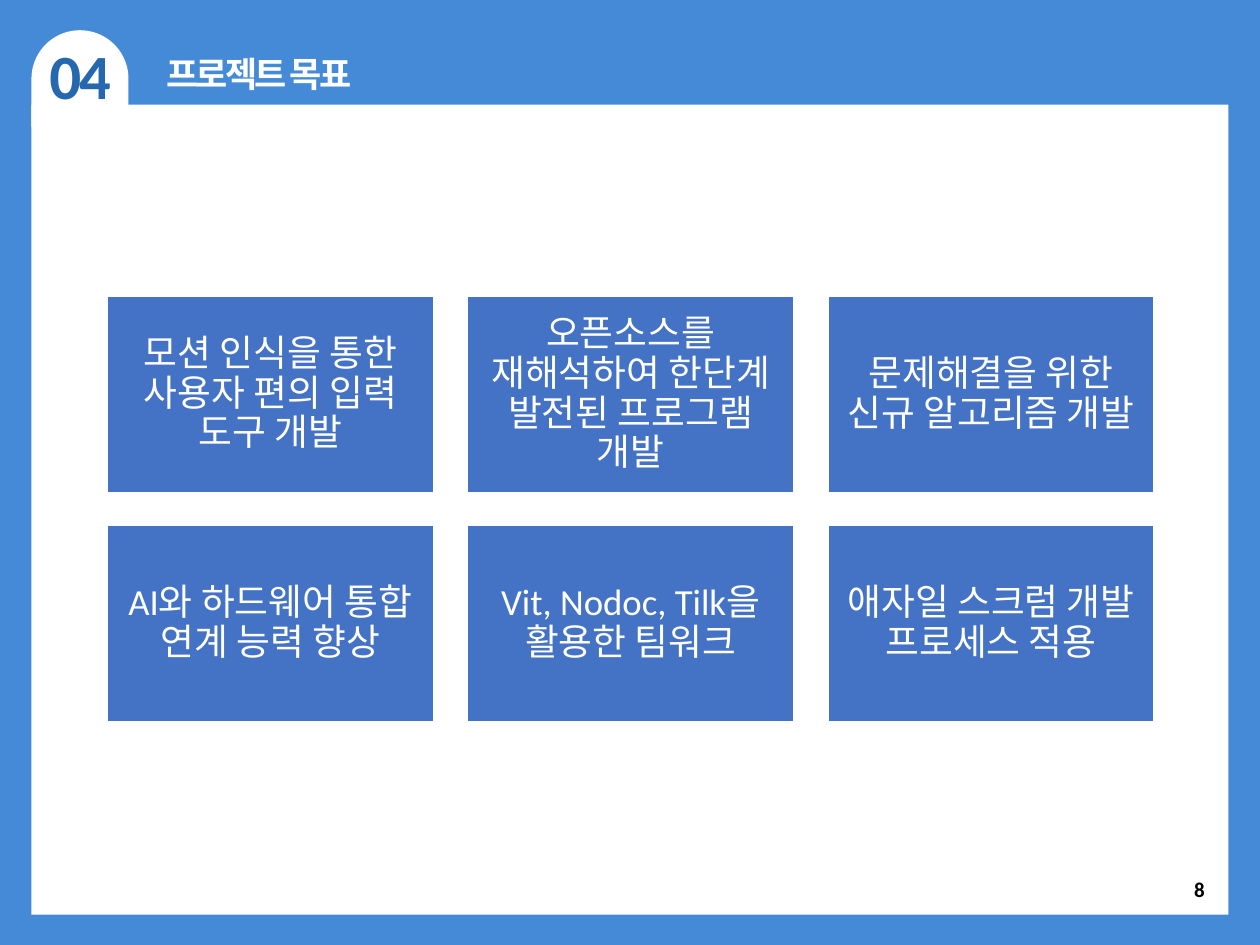
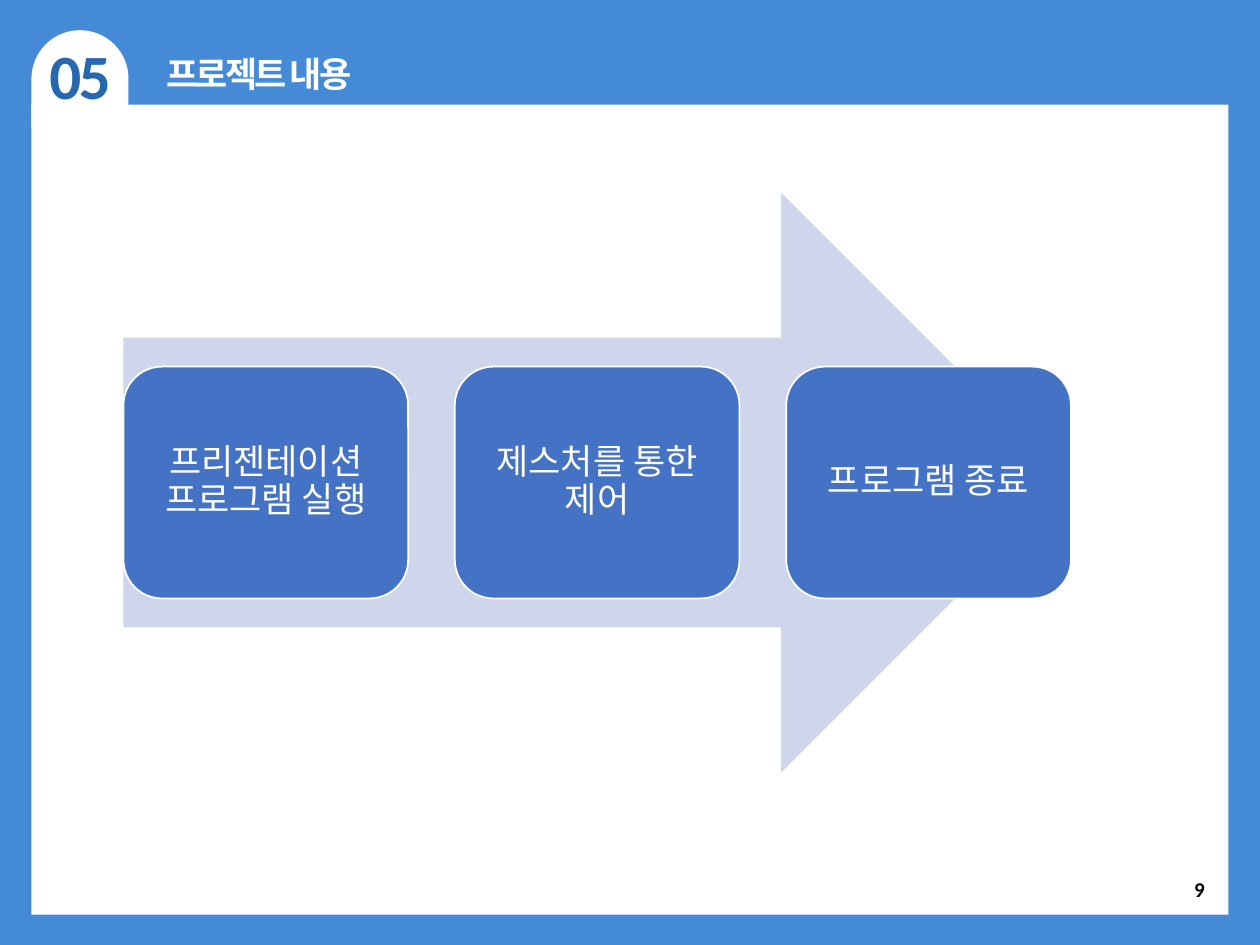
from dataclasses import dataclass
from typing import NamedTuple, Optional

from pptx import Presentation
from pptx.dml.color import RGBColor
from pptx.enum import shapes, text
from pptx.util import Inches, Pt

KIND = shapes.MSO_SHAPE
ALIGN = text.PP_ALIGN
ANCHOR = text.MSO_ANCHOR


@dataclass(frozen=True)
class Theme:
    frame: str = "448AD7"
    paper: str = "FFFFFF"
    badge: str = "2668B0"
    card: str = "4472C4"
    arrow: str = "CFD5EA"
    ink: str = "000000"
    body: str = "Calibri"
    head: str = "Arial"
    num_size: float = 36
    head_size: float = 20
    goal_size: float = 21
    step_size: float = 20
    page_size: float = 12
    tight: float = -1.5


class Box(NamedTuple):
    left: float
    top: float
    width: float
    height: float


class Style(NamedTuple):
    size: float
    color: str
    font: str
    bold: bool = False
    align: ALIGN = ALIGN.CENTER
    track: float = 0
    lead: Optional[float] = None


class Grid(NamedTuple):
    """First cell, column and row pitch, and the number of columns."""
    cell: Box
    across: float
    down: float
    cols: int

    def at(self, index: int) -> Box:
        row, col = divmod(index, self.cols)
        return self.cell._replace(left=self.cell.left + col * self.across,
                                  top=self.cell.top + row * self.down)


THEME = Theme()
NUM = Style(THEME.num_size, THEME.badge, THEME.body, True, track=THEME.tight)
HEAD = Style(THEME.head_size, THEME.paper, THEME.head, True, track=THEME.tight)
PAGE = Style(THEME.page_size, THEME.ink, THEME.body, True, ALIGN.RIGHT)
GOAL = Style(THEME.goal_size, THEME.paper, THEME.body, lead=0.9)
STEP = Style(THEME.step_size, THEME.paper, THEME.body, lead=0.9)

GOALS = (
    "모션 인식을 통한 사용자 편의 입력 도구 개발",
    "오픈소스를 재해석하여 한단계 발전된 프로그램 개발",
    "문제해결을 위한 신규 알고리즘 개발",
    "AI와 하드웨어 통합 연계 능력 향상",
    "Vit, Nodoc, Tilk을 활용한 팀워크",
    "애자일 스크럼 개발 프로세스 적용",
)
STEPS = ("프리젠테이션 프로그램 실행", "제스처를 통한 제어", "프로그램 종료")
GOAL_GRID = Grid(Box(0.85, 2.35, 2.59, 1.56), 2.86, 1.82, 3)
STEP_GRID = Grid(Box(0.98, 2.91, 2.26, 1.84), 2.63, 0, 3)


def place(box: Box) -> list:
    return [Inches(side) for side in box]


def write(shape, words: str, style: Style) -> None:
    para = shape.text_frame.paragraphs[0]
    run = para.add_run()
    run.text = words
    para.alignment = style.align
    if style.lead:
        para.line_spacing = style.lead
    font = para.font
    font.name, font.size, font.bold = style.font, Pt(style.size), style.bold
    font.color.rgb = RGBColor.from_string(style.color)
    if style.track:
        run._r.get_or_add_rPr().set("spc", str(int(style.track * 100)))


def draw(slide, kind: KIND, box: Box, fill: str, line: str = ""):
    shape = slide.shapes.add_shape(kind, *place(box))
    shape.shadow.inherit = False
    shape.fill.solid()
    shape.fill.fore_color.rgb = RGBColor.from_string(fill)
    if line:
        shape.line.color.rgb = RGBColor.from_string(line)
        shape.line.width = Pt(1)
    else:
        shape.line.fill.background()
    return shape


def label(slide, box: Box, words: str, style: Style,
          anchor: ANCHOR = ANCHOR.TOP) -> None:
    shape = slide.shapes.add_textbox(*place(box))
    shape.text_frame.word_wrap = True
    shape.text_frame.vertical_anchor = anchor
    write(shape, words, style)


def cards(slide, kind: KIND, grid: Grid, items: tuple, style: Style,
          pad: float) -> None:
    for index, words in enumerate(items):
        card = draw(slide, kind, grid.at(index), THEME.card, THEME.paper)
        frame = card.text_frame
        frame.word_wrap = True
        frame.vertical_anchor = ANCHOR.MIDDLE
        frame.margin_left = frame.margin_right = Inches(pad)
        frame.margin_top = frame.margin_bottom = Inches(pad)
        write(card, words, style)


def start(deck, num: str, title: str, page: int):
    """Add a slide with the frame, numbered tab, title and page number."""
    slide = deck.slides.add_slide(deck.slide_layouts[6])
    draw(slide, KIND.RECTANGLE, Box(0, 0, 10, 7.5), THEME.frame)
    tab = draw(slide, KIND.FLOWCHART_DELAY, Box(0.25, 0.24, 0.77, 0.77),
               THEME.paper)
    tab.rotation = 270
    draw(slide, KIND.RECTANGLE, Box(0.25, 0.83, 9.5, 6.43), THEME.paper)
    label(slide, Box(7.41, 6.86, 2.25, 0.4), str(page), PAGE, ANCHOR.MIDDLE)
    label(slide, Box(0.29, 0.24, 0.69, 0.71), num, NUM)
    label(slide, Box(0.98, 0.37, 2.15, 0.44), title, HEAD)
    return slide


def main() -> None:
    deck = Presentation()
    deck.slide_width, deck.slide_height = Inches(10), Inches(7.5)

    goals = start(deck, "04", "프로젝트 목표", 8)
    cards(goals, KIND.RECTANGLE, GOAL_GRID, GOALS, GOAL, 0.09)

    steps = start(deck, "05", "프로젝트 내용", 9)
    draw(steps, KIND.RIGHT_ARROW, Box(0.98, 1.53, 7.52, 4.6), THEME.arrow)
    # Rounded corners already inset the text by 0.09 inch.
    cards(steps, KIND.ROUNDED_RECTANGLE, STEP_GRID, STEPS, STEP, 0.08)

    deck.save("out.pptx")


if __name__ == "__main__":
    main()
